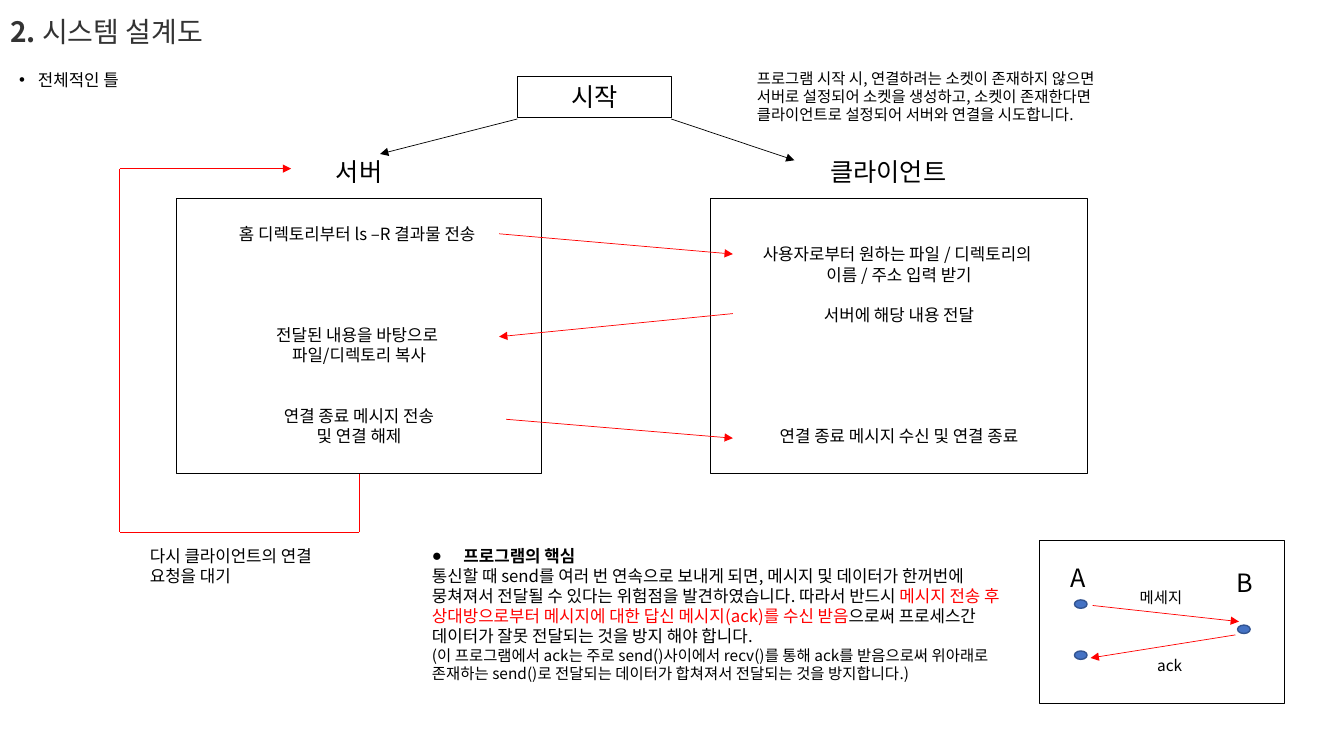
from lxml import etree
from pptx import Presentation
from pptx import util as u
from pptx.dml.color import RGBColor
from pptx.enum import shapes, text
from pptx.oxml import ns

COLORS = {"ink": "000000", "title": "333333", "red": "FF0000",
          "dot": "4472C4", "dot_edge": "325491"}
LINE_HEIGHT = {11: 13, 12: 14.4, 18: 21.6}
LEFT, CENTER = text.PP_ALIGN.LEFT, text.PP_ALIGN.CENTER
TOP, MIDDLE = text.MSO_ANCHOR.TOP, text.MSO_ANCHOR.MIDDLE


def color(name):
    return RGBColor.from_string(COLORS[name])


class Board:
    """Holds the text style and the current slide."""
    face = "Noto Sans CJK KR"

    def __init__(self, page):
        self.page = page

    def style(self, font, size, ink="ink", bold=False):
        font.name, font.size, font.bold = self.face, u.Pt(size), bold
        font.color.rgb = color(ink)
        latin = font._element.find(ns.qn("a:latin"))
        east = etree.Element(ns.qn("a:ea"), typeface=self.face)
        latin.addnext(east)

    def title(self, number, words, left, top, width, height):
        box = self.page.shapes.title
        box.left, box.top, box.width, box.height = map(
            u.Pt, (left, top, width, height))
        box.text_frame.vertical_anchor = MIDDLE
        para = box.text_frame.paragraphs[0]
        para.alignment, para.line_spacing = LEFT, 0.9
        for part, bold in ((number, True), (words, False)):
            span = para.add_run()
            span.text = part
            self.style(span.font, 20, "title", bold)

    def fill_para(self, para, spans, size=12, align=LEFT, bold=False,
                  gap=0, bullet=None, indent=0):
        """Fill a paragraph; spans are plain text or (text, colour) pairs."""
        if bullet:
            props = para._p.get_or_add_pPr()
            props.set("marL", str(u.Pt(indent)))
            props.set("indent", str(-u.Pt(indent)))
            etree.SubElement(props, ns.qn("a:buFont"), typeface="Arial")
            etree.SubElement(props, ns.qn("a:buChar"), char=bullet)
        para.alignment = align
        para.line_spacing = u.Pt(LINE_HEIGHT[size])
        para.space_before = u.Pt(gap * LINE_HEIGHT[size])
        self.style(para.font, size, bold=bold)
        for item in [spans] if isinstance(spans, str) else spans:
            words, ink = (item, None) if isinstance(item, str) else item
            span = para.add_run()
            span.text = words
            if ink:
                span.font.color.rgb = color(ink)

    def fill_text(self, box, lines, anchor=TOP, wrap=True, inset=3.6, **look):
        """Each line is text or a dict of arguments for fill_para()."""
        frame = box.text_frame
        frame.word_wrap, frame.vertical_anchor = wrap, anchor
        frame.margin_top = u.Pt(inset)
        for index, line in enumerate(lines):
            para = frame.add_paragraph() if index else frame.paragraphs[0]
            line = {"spans": line} if isinstance(line, str) else line
            self.fill_para(para, **{**look, **line})

    def label(self, left, top, width, height, *lines, **look):
        box = self.page.shapes.add_textbox(
            *map(u.Pt, (left, top, width, height)))
        self.fill_text(box, lines, **look)

    def shape(self, kind, left, top, width, height, *lines,
              fill=None, edge="ink", weight=0.75, **look):
        box = self.page.shapes.add_shape(
            kind, *map(u.Pt, (left, top, width, height)))
        box.shadow.inherit = False
        if fill:
            box.fill.solid()
            box.fill.fore_color.rgb = color(fill)
        else:
            box.fill.background()
        box.line.color.rgb, box.line.width = color(edge), u.Pt(weight)
        self.fill_text(box, lines, **look)
        return box

    def line(self, start, end, ink="red", arrow=True):
        link = self.page.shapes.add_connector(
            shapes.MSO_CONNECTOR.STRAIGHT, *map(u.Pt, (*start, *end)))
        link.line.color.rgb, link.line.width = color(ink), u.Pt(0.5)
        if arrow:
            etree.SubElement(link.get_or_add_ln(),
                             ns.qn("a:tailEnd"), type="triangle")
        etree.SubElement(link._element.spPr, ns.qn("a:effectLst"))
        return link


def main():
    deck = Presentation()
    deck.slide_width, deck.slide_height = u.Pt(960), u.Pt(540)
    board = Board(deck.slides.add_slide(deck.slide_layouts[5]))
    rect, oval = shapes.MSO_SHAPE.RECTANGLE, shapes.MSO_SHAPE.OVAL

    # Title and topic
    board.title("2. ", "시스템 설계도", 0, 1.5, 828, 44.5)
    board.label(6.5, 46, 137, 22,
                {"spans": "전체적인 틀", "bullet": "•", "indent": 13.5})

    # Start and the two roles
    board.shape(rect, 369.5, 54.7, 110, 29, "시작",
                size=18, align=CENTER, anchor=MIDDLE)
    for left, role in ((178, "서버"), (556, "클라이언트")):
        board.label(left, 108, 157, 29, role, size=18, align=CENTER)
    board.label(533.5, 46, 286, 47.5,
                "프로그램 시작 시, 연결하려는 소켓이 존재하지 않으면 서버로 설정되어 소켓을 "
                "생성하고, 소켓이 존재한다면 클라이언트로 설정되어 서버와 연결을 시도합니다.",
                size=11)
    board.line((369.5, 85), (271.5, 110), "ink")
    board.line((479.5, 85), (567.5, 114.5), "ink")

    # Steps on each side
    server = board.shape(
        rect, 126, 142, 261, 196.5,
        "홈 디렉토리부터 ls –R 결과물 전송 ",
        {"spans": "전달된 내용을 바탕으로 ", "gap": 4}, "파일/디렉토리 복사",
        {"spans": "연결 종료 메시지 전송", "gap": 2}, "및 연결 해제",
        align=CENTER, inset=18)
    board.shape(
        rect, 507.5, 142, 269.5, 196.5,
        "사용자로부터 원하는 파일 / 디렉토리의 ", "이름 / 주소 입력 받기",
        {"spans": "서버에 해당 내용 전달", "gap": 1},
        {"spans": "연결 종료 메시지 수신 및 연결 종료", "gap": 5},
        align=CENTER, inset=32.4)
    board.line((356.5, 167), (523.5, 181.5))
    board.line((523.5, 224), (356.5, 240.5))
    board.line((361.5, 299.5), (523.5, 313))

    # Loop back to the server
    loop = [(256.5, 338.5), (256.5, 380), (85.5, 380), (85.5, 120.5), (208, 120.5)]
    for index, (start, end) in enumerate(zip(loop, loop[1:])):
        link = board.line(start, end, arrow=end == loop[-1])
        if index == 0:
            link.begin_connect(server, 2)
    board.label(100, 386, 144, 36, "다시 클라이언트의 연결 요청을 대기")

    # Key point
    board.label(
        301.5, 386, 421, 106.5,
        {"spans": "프로그램의 핵심", "bold": True, "bullet": "●", "indent": 22.5},
        {"spans": [
            "통신할 때 send를 여러 번 연속으로 보내게 되면, 메시지 및 데이터가 한꺼번에 "
            "뭉쳐져서 전달될 수 있다는 위험점을 발견하였습니다. 따라서 반드시 ",
            ("메시지 전송 후 상대방으로부터 메시지에 대한 답신 메시지(ack)를 수신 받음", "red"),
            "으로써 프로세스간 데이터가 잘못 전달되는 것을 방지 해야 합니다."]},
        {"spans": "(이 프로그램에서 ack는 주로 send()사이에서 recv()를 통해 ack를 받음으로써 "
                  "위아래로 존재하는 send()로 전달되는 데이터가 합쳐져서 전달되는 것을 방지합니다.)",
         "size": 11})

    # Message and ack diagram
    board.shape(rect, 742.5, 386, 175, 116.5, weight=1)
    for left, top, width, words, size in (
            (757.5, 398, 24, "A", 18), (876, 401.5, 24, "B", 18),
            (807, 417, 50, "메세지", 11), (819.5, 465, 50, "ack", 11)):
        board.label(left, top, width, 29 if size == 18 else 21, words,
                    size=size, wrap=size != 18)
    board.line((780.5, 432.5), (885, 444))
    board.line((882.5, 453.5), (779, 470))
    for left, top in ((767.5, 428.5), (767.5, 465), (884, 446.5)):
        board.shape(oval, left, top, 9, 6, fill="dot", edge="dot_edge", weight=1)

    deck.save("out.pptx")


if __name__ == "__main__":
    main()
